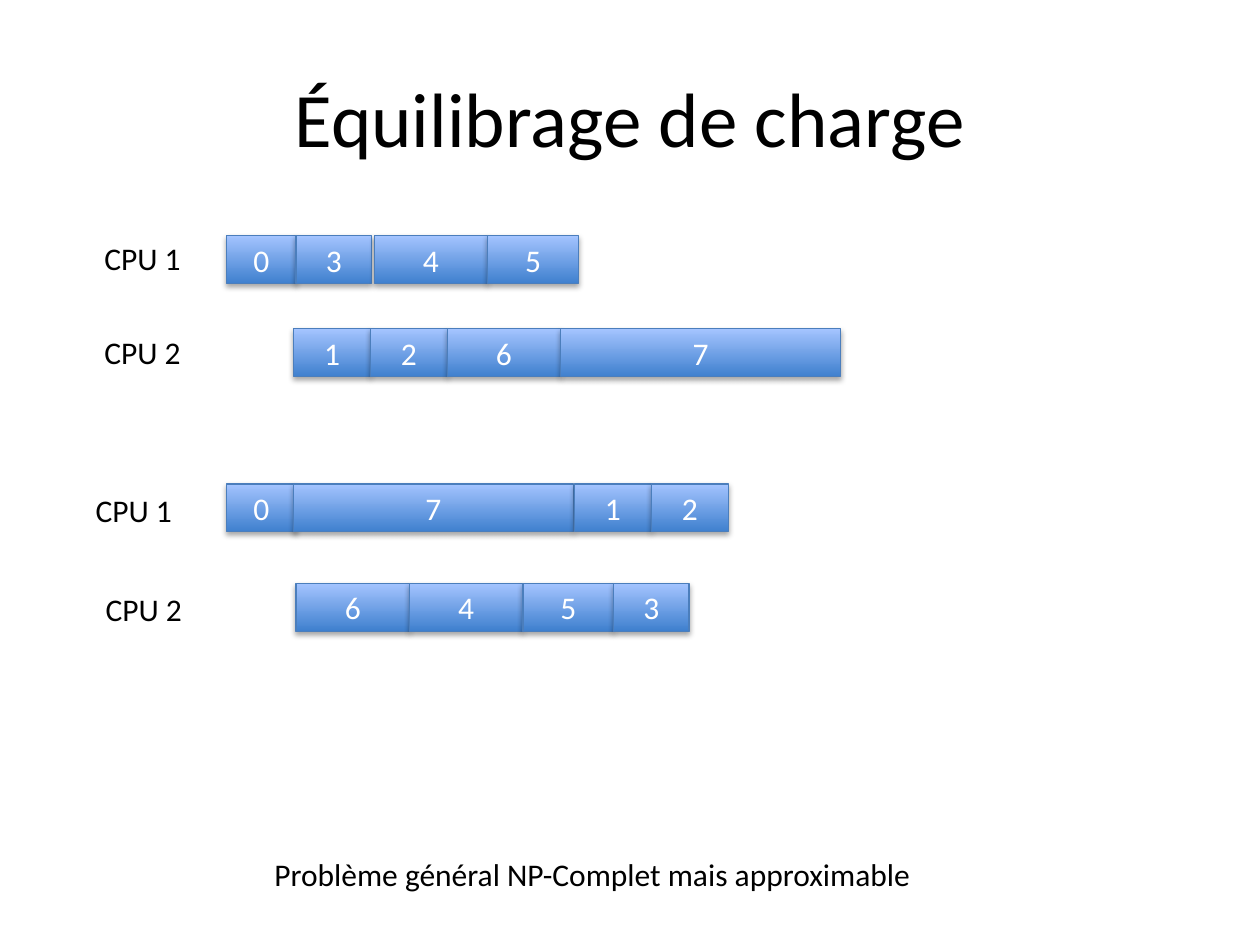
from dataclasses import dataclass

import pptx
import pptx.dml.color
import pptx.enum.shapes
import pptx.enum.text
import pptx.oxml
import pptx.oxml.ns
import pptx.util

COLUMNS, ROWS = 100, 75
SLIDE_WIDTH, SLIDE_HEIGHT = pptx.util.Inches(10), pptx.util.Inches(7.5)
TASK_HEIGHT = 3.8
LABEL_HEIGHT = 4.0
CPU_LABEL_WIDTH = 8.1
# Width of each task, in columns
DURATIONS = {"0": 5.5, "1": 6.1, "2": 6.1, "3": 6.0,
             "4": 9.0, "5": 7.2, "6": 9.0, "7": 22.2}


@dataclass(frozen=True)
class Theme:
    font: str = "Calibri"
    title_size: int = 44
    body_size: int = 18
    text: str = "000000"
    task_text: str = "FFFFFF"
    task_bottom: str = "3F80CE"
    task_top: str = "A4C4FF"
    task_line: str = "4B7EBC"
    line_width: float = 0.75


@dataclass(frozen=True)
class Burst:
    """Tasks that follow each other without a gap."""
    column: float
    tasks: str


@dataclass(frozen=True)
class Timeline:
    cpu: str
    label_column: float
    label_row: float
    task_row: float
    bursts: tuple[Burst, ...]


THEME = Theme()
TIMELINES = (
    Timeline("CPU 1", 7.3, 18.5, 18.7, (Burst(18, "03"), Burst(29.7, "45"))),
    Timeline("CPU 2", 7.3, 25.9, 26.1, (Burst(23.3, "1267"),)),
    Timeline("CPU 1", 6.6, 38.5, 38.4,
             (Burst(18, "0"), Burst(23.3, "7"), Burst(45.6, "12"))),
    Timeline("CPU 2", 7.4, 46.3, 46.3, (Burst(23.5, "6453"),)),
)


def grid_box(column: float, row: float, width: float, height: float) -> tuple[int, ...]:
    """Left, top, width and height of an area of the grid."""
    return (int(SLIDE_WIDTH * column / COLUMNS), int(SLIDE_HEIGHT * row / ROWS),
            int(SLIDE_WIDTH * width / COLUMNS), int(SLIDE_HEIGHT * height / ROWS))


def rgb(value: str) -> pptx.dml.color.RGBColor:
    return pptx.dml.color.RGBColor.from_string(value)


def write(frame, text: str, size: int, color: str, centred: bool = False) -> None:
    paragraph = frame.paragraphs[0]
    if centred:
        paragraph.alignment = pptx.enum.text.PP_ALIGN.CENTER
        frame.vertical_anchor = pptx.enum.text.MSO_ANCHOR.MIDDLE
    run = paragraph.add_run()
    run.text = text
    run.font.name = THEME.font
    run.font.size = pptx.util.Pt(size)
    run.font.color.rgb = rgb(color)


def add_soft_shadow(shape) -> None:
    shape.shadow.inherit = False
    effects = shape._element.spPr.find(pptx.oxml.ns.qn("a:effectLst"))
    effects.append(pptx.oxml.parse_xml(
        f'<a:outerShdw {pptx.oxml.ns.nsdecls("a")} blurRad="40000" dist="23000" '
        'dir="5400000" rotWithShape="0"><a:srgbClr val="000000">'
        '<a:alpha val="35000"/></a:srgbClr></a:outerShdw>'))


def add_task(slide, task: str, column: float, row: float) -> None:
    block = slide.shapes.add_shape(
        pptx.enum.shapes.MSO_SHAPE.RECTANGLE,
        *grid_box(column, row, DURATIONS[task], TASK_HEIGHT))
    block.fill.gradient()
    block.fill.gradient_angle = 90
    for stop, color in zip(block.fill.gradient_stops,
                           (THEME.task_bottom, THEME.task_top)):
        stop.color.rgb = rgb(color)
    block.line.color.rgb = rgb(THEME.task_line)
    block.line.width = pptx.util.Pt(THEME.line_width)
    add_soft_shadow(block)
    write(block.text_frame, task, THEME.body_size, THEME.task_text, centred=True)


def add_label(slide, text: str, column: float, row: float, width: float) -> None:
    label = slide.shapes.add_textbox(*grid_box(column, row, width, LABEL_HEIGHT))
    label.text_frame.word_wrap = False
    label.text_frame.auto_size = pptx.enum.text.MSO_AUTO_SIZE.SHAPE_TO_FIT_TEXT
    write(label.text_frame, text, THEME.body_size, THEME.text)


def add_timeline(slide, timeline: Timeline) -> None:
    for burst in timeline.bursts:
        column = burst.column
        for task in burst.tasks:
            add_task(slide, task, column, timeline.task_row)
            column += DURATIONS[task]
    add_label(slide, timeline.cpu, timeline.label_column, timeline.label_row,
              CPU_LABEL_WIDTH)


def main() -> None:
    deck = pptx.Presentation()
    deck.slide_width, deck.slide_height = SLIDE_WIDTH, SLIDE_HEIGHT
    slide = deck.slides.add_slide(deck.slide_layouts.get_by_name("Title Only"))

    title = slide.shapes.title
    title.left, title.top, title.width, title.height = grid_box(5, 3, 90, 12.5)
    write(title.text_frame, "Équilibrage de charge", THEME.title_size,
          THEME.text, centred=True)

    for timeline in TIMELINES:
        add_timeline(slide, timeline)
    add_label(slide, "Problème général NP-Complet mais approximable",
              20.8, 67.4, 53.3)
    deck.save("out.pptx")


if __name__ == "__main__":
    main()
